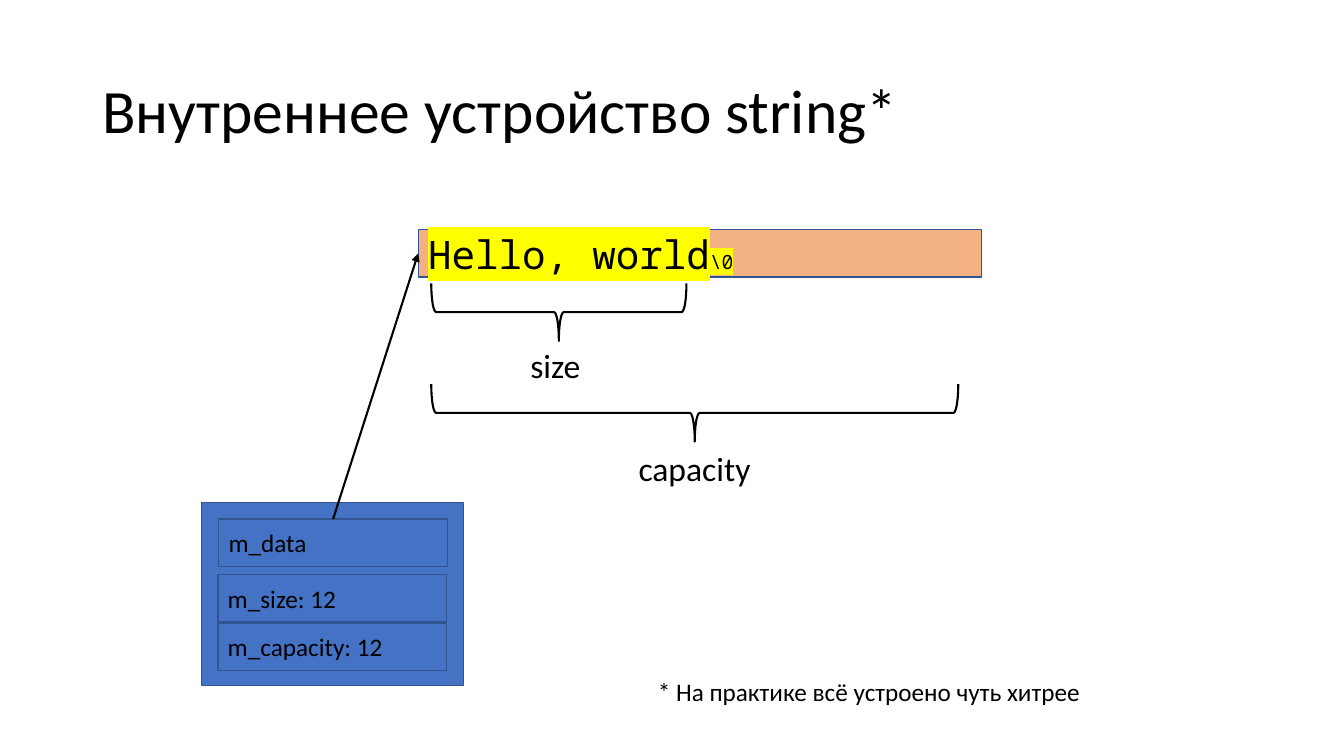
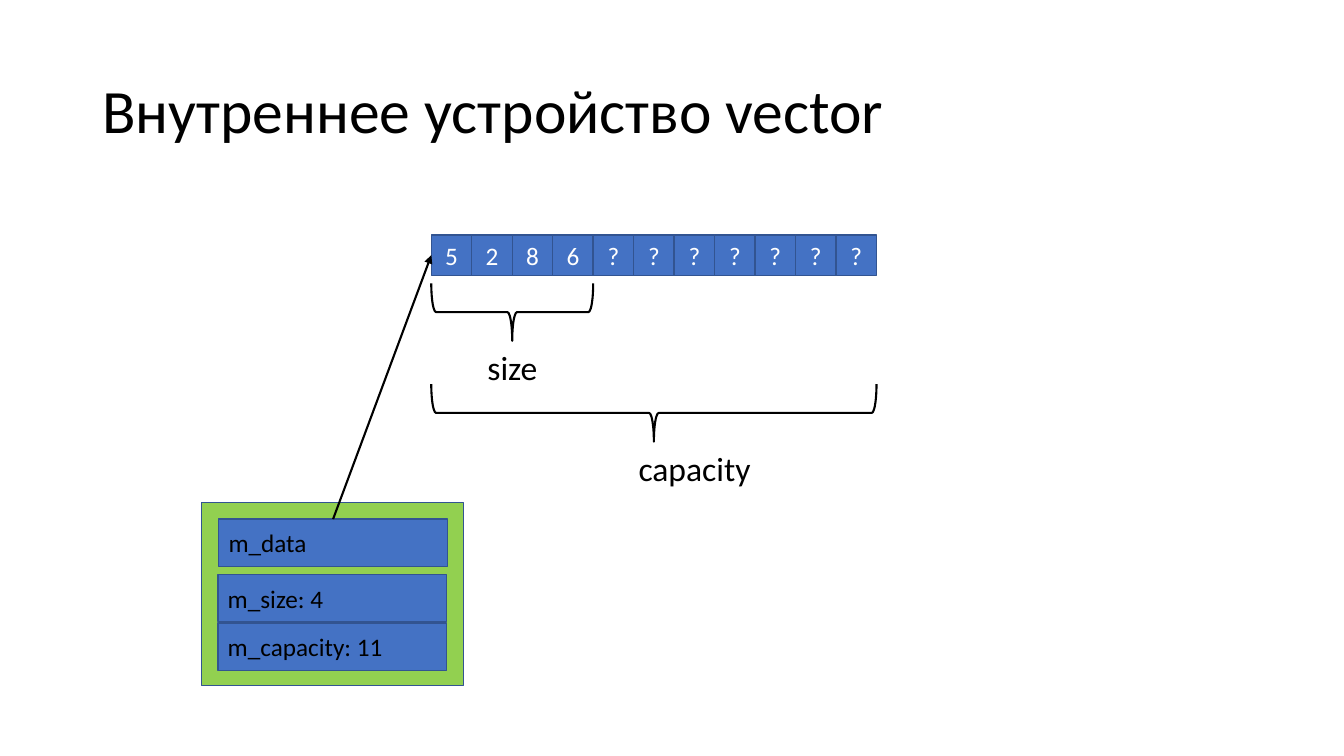
from lxml.etree import SubElement
from pptx import Presentation
from pptx.dml.color import RGBColor
from pptx.enum.shapes import MSO_CONNECTOR, MSO_SHAPE
from pptx.enum.text import MSO_ANCHOR, PP_ALIGN
from pptx.oxml.ns import qn
from pptx.util import Cm, Pt

color = RGBColor.from_string
BLACK, WHITE, YELLOW = "000000", "FFFFFF", "FFFF00"
BLUE, OUTLINE, ORANGE, GREEN = "4472C4", "325491", "F4B183", "92D050"

CELL = 1.02
BRACE_LEFT, BRACE_DEPTH = 10.87, 1.45
CAPACITY_LABEL = ("capacity", 14.38, 11.15, 6.25)

lectures = [
    {
        "title": "Внутреннее устройство string*",
        "object_fill": BLUE,
        "fields": ["m_data", "m_size: 12", "m_capacity: 12"],
        "buffer": (10.54, 5.79, 14.2, 1.19, ORANGE),
        "cells": [[("Hello, world", 28), ("\\0", 14)]],
        "cell_style": {"font": "Noto Sans Mono", "ink": BLACK, "marker": YELLOW},
        "braces": [(7.14, 6.43), (9.68, 13.28)],
        "labels": [("size", 10.87, 8.56, 6.25), CAPACITY_LABEL],
        "footnote": "* На практике всё устроено чуть хитрее",
    },
    {
        "title": "Внутреннее устройство vector",
        "object_fill": GREEN,
        "fields": ["m_data", "m_size: 4", "m_capacity: 11"],
        "buffer": (BRACE_LEFT, 5.92, CELL, CELL, BLUE),
        "cells": [[(value, 18)] for value in "5286???????"],
        "cell_style": {"ink": WHITE, "align": PP_ALIGN.CENTER},
        "braces": [(7.14, 4 * CELL), (9.68, 11 * CELL)],
        "labels": [("size", 10.92, 8.61, 3.99), CAPACITY_LABEL],
        "footnote": None,
    },
]


def write(shape, runs, font="Calibri", ink=BLACK, marker=None,
          align=PP_ALIGN.LEFT, anchor=MSO_ANCHOR.MIDDLE):
    frame = shape.text_frame
    frame.word_wrap = True
    frame.vertical_anchor = anchor
    paragraph = frame.paragraphs[0]
    paragraph.alignment = align
    for text, size in runs:
        run = paragraph.add_run()
        run.text = text
        run.font.size = Pt(size)
        run.font.color.rgb = color(ink)
        if marker:
            highlight = SubElement(run.font._element, qn("a:highlight"))
            SubElement(highlight, qn("a:srgbClr"), val=marker)
        run.font.name = font
    return paragraph


def add_box(slide, left, top, width, height, fill):
    box = slide.shapes.add_shape(
        MSO_SHAPE.RECTANGLE, Cm(left), Cm(top), Cm(width), Cm(height))
    box.shadow.inherit = False
    box.fill.solid()
    box.fill.fore_color.rgb = color(fill)
    box.line.color.rgb = color(OUTLINE)
    box.line.width = Pt(1)
    return box


deck = Presentation()
deck.slide_width, deck.slide_height = Cm(33.87), Cm(19.05)

for lecture in lectures:
    slide = deck.slides.add_slide(deck.slide_layouts[6])

    title = slide.shapes.add_textbox(Cm(2.33), Cm(1.01), Cm(29.21), Cm(3.68))
    write(title, [(lecture["title"], 44)]).line_spacing = 0.9

    left, top, width, height, fill = lecture["buffer"]
    cells = []
    for index, content in enumerate(lecture["cells"]):
        cell = add_box(slide, left + index * width, top, width, height, fill)
        write(cell, content, **lecture["cell_style"])
        cells.append(cell)

    add_box(slide, 5.08, 12.67, 6.6, 4.6, lecture["object_fill"])
    fields = []
    for text, field_left, field_top in zip(
            lecture["fields"], (5.51, 5.49, 5.49), (13.08, 14.48, 15.7)):
        field = add_box(slide, field_left, field_top, 5.77, 1.19, BLUE)
        write(field, [(text, 18)])
        fields.append(field)

    pointer = slide.shapes.add_connector(MSO_CONNECTOR.STRAIGHT, 0, 0, 0, 0)
    pointer.begin_connect(fields[0], 0)
    pointer.end_connect(cells[0], 1)
    pointer.line.color.rgb = color(BLACK)
    pointer.line.width = Pt(1.5)
    SubElement(pointer.line._get_or_add_ln(), qn("a:tailEnd"), type="triangle")
    SubElement(pointer._element.spPr, qn("a:effectLst"))

    for brace_top, span in lecture["braces"]:
        shift = (span - BRACE_DEPTH) / 2
        brace = slide.shapes.add_shape(
            MSO_SHAPE.LEFT_BRACE, Cm(BRACE_LEFT + shift), Cm(brace_top - shift),
            Cm(BRACE_DEPTH), Cm(span))
        brace.rotation = 270
        brace.shadow.inherit = False
        brace.fill.background()
        brace.line.color.rgb = color(BLACK)
        brace.line.width = Pt(1.5)

    for text, label_left, label_top, label_width in lecture["labels"]:
        label = slide.shapes.add_textbox(
            Cm(label_left), Cm(label_top), Cm(label_width), Cm(1.27))
        write(label, [(text, 24)], align=PP_ALIGN.CENTER, anchor=MSO_ANCHOR.TOP)

    if lecture["footnote"]:
        footnote = slide.shapes.add_textbox(
            Cm(16.33), Cm(16.92), Cm(11.2), Cm(1.02))
        write(footnote, [(lecture["footnote"], 18)], anchor=MSO_ANCHOR.TOP)

deck.save("out.pptx")
